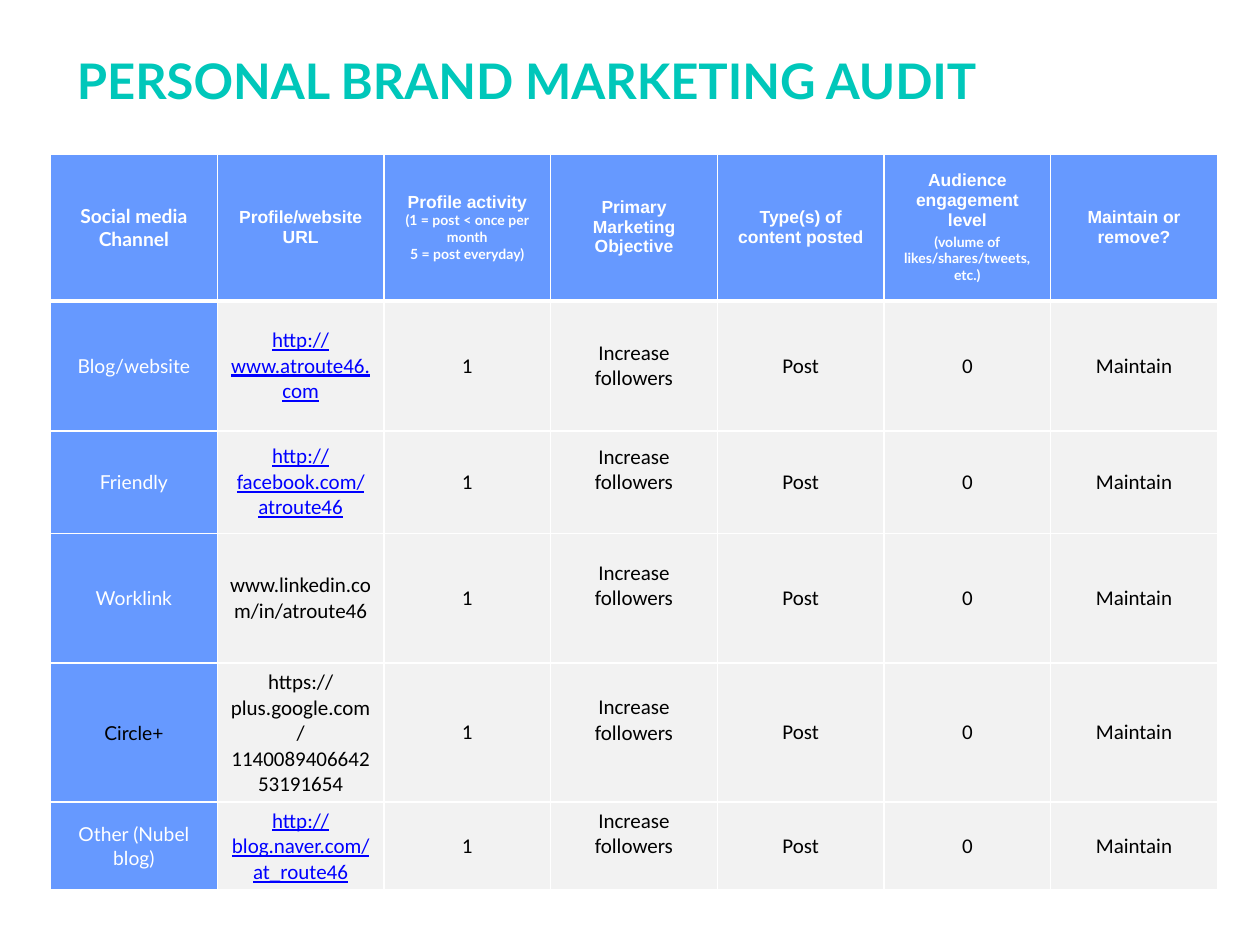
from dataclasses import dataclass

from lxml.etree import SubElement
from pptx import Presentation
from pptx.dml.color import RGBColor
from pptx.enum.text import MSO_ANCHOR as Anchor, MSO_AUTO_SIZE as AutoSize, PP_ALIGN as Align
from pptx.oxml.ns import qn
from pptx.util import Cm, Pt

WHITE, BLACK, LINK = "FFFFFF", "000000", "0000FF"
BLUE, GREY, TEAL = "6699FF", "F2F2F2", "00C7BA"
COLUMN_WIDTH = 3.36
ROW_HEIGHTS = (2.97, 2.62, 2.06, 2.62, 2.62, 1.68)
THIN, THICK = 1, 3


@dataclass
class Line:
    text: str
    size: float = 12
    font: str = "Calibri"
    color: str = BLACK
    bold: bool = False
    underline: bool = False
    before: float = 0


@dataclass
class Channel:
    name: str
    url: str
    linked: bool = True
    name_color: str = WHITE
    objective_lift: float = 0.5


def heading(text: str) -> Line:
    return Line(text, 10, "Arial", WHITE, bold=True)


def detail(text: str, before: float = 0) -> Line:
    return Line(text, 8, "Lato", WHITE, bold=True, before=before)


HEADINGS = (
    [Line("Social media Channel", 11, "Lato", WHITE, bold=True)],
    [heading("Profile/website URL")],
    [heading("Profile activity"), detail("(1 = post < once per month"),
     detail("5 = post everyday)")],
    [heading("Primary Marketing Objective")],
    [heading("Type(s) of content posted")],
    [heading("Audience engagement level"),
     detail("(volume of likes/shares/tweets, etc.)", before=2)],
    [heading("Maintain or remove?")],
)
CHANNELS = (
    Channel("Blog/website", "http://www.atroute46.com", objective_lift=0),
    Channel("Friendly", "http://facebook.com/atroute46"),
    Channel("Worklink", "www.linkedin.com/in/atroute46", linked=False),
    Channel("Circle+", "https://plus.google.com/114008940664253191654",
            linked=False, name_color=BLACK),
    Channel("Other (Nubel blog)", "http://blog.naver.com/at_route46"),
)
ANSWERS = ("1", "Increase followers", "Post", "0", "Maintain")
OBJECTIVE_COLUMN = 3


def rgb(color: str) -> RGBColor:
    return RGBColor.from_string(color)


def write(frame, lines: list[Line], align: Align) -> None:
    for index, line in enumerate(lines):
        para = frame.add_paragraph() if index else frame.paragraphs[0]
        para.add_run().text = line.text
        para.alignment = align
        if line.before:
            para.space_before = Pt(line.before)
        para.font.name, para.font.size = line.font, Pt(line.size)
        para.font.bold, para.font.underline = line.bold, line.underline
        para.font.color.rgb = rgb(line.color)


def set_borders(cell, top: float, bottom: float) -> None:
    properties = cell._tc.get_or_add_tcPr()
    for side, width in (("L", THIN), ("R", THIN), ("T", top), ("B", bottom)):
        border = SubElement(properties, qn(f"a:ln{side}"), w=str(Pt(width)))
        SubElement(SubElement(border, qn("a:solidFill")), qn("a:srgbClr"), val=WHITE)


def fill_cell(cell, lines: list[Line], fill: str, top: float, bottom: float) -> None:
    set_borders(cell, top, bottom)
    cell.fill.solid()
    cell.fill.fore_color.rgb = rgb(fill)
    cell.vertical_anchor = Anchor.MIDDLE
    write(cell.text_frame, lines, Align.CENTER)


def channel_lines(channel: Channel) -> list[list[Line]]:
    name = Line(channel.name, 11, "Lato", channel.name_color)
    url = Line(channel.url, color=LINK if channel.linked else BLACK,
               underline=channel.linked)
    return [[line] for line in (name, url, *map(Line, ANSWERS))]


def main() -> None:
    deck = Presentation()
    deck.slide_width, deck.slide_height = Cm(25.4), Cm(19.05)
    page = deck.slides.add_slide(deck.slide_layouts[6])

    # Title
    box = page.shapes.add_textbox(Cm(1.3), Cm(0.89), Cm(19.96), Cm(1.45))
    frame = box.text_frame
    frame.word_wrap = True
    frame.auto_size = AutoSize.SHAPE_TO_FIT_TEXT
    frame.vertical_anchor = Anchor.MIDDLE
    write(frame, [Line("PERSONAL BRAND MARKETING AUDIT", 28, "Lato", TEAL, bold=True)],
          Align.LEFT)

    # Audit table
    table = page.shapes.add_table(
        len(ROW_HEIGHTS), len(HEADINGS), Cm(1.02), Cm(3.1),
        Cm(COLUMN_WIDTH * len(HEADINGS)), Cm(sum(ROW_HEIGHTS))).table
    for column in table.columns:
        column.width = Cm(COLUMN_WIDTH)
    for row, height in zip(table.rows, ROW_HEIGHTS):
        row.height = Cm(height)

    # Header row
    for column, lines in enumerate(HEADINGS):
        fill_cell(table.cell(0, column), lines, BLUE, THIN, THICK)

    # One row per channel
    for row, channel in enumerate(CHANNELS, start=1):
        for column, lines in enumerate(channel_lines(channel)):
            fill_cell(table.cell(row, column), lines, GREY if column else BLUE,
                      THICK if row == 1 else THIN, THIN)
        objective = table.cell(row, OBJECTIVE_COLUMN)
        objective.margin_bottom = Cm(0.13 + channel.objective_lift)

    # The last column has no inner margins
    for row in range(len(ROW_HEIGHTS)):
        cell = table.cell(row, len(HEADINGS) - 1)
        cell.margin_left = cell.margin_right = Cm(0)
        cell.margin_top = cell.margin_bottom = Cm(0)

    deck.save("out.pptx")


if __name__ == "__main__":
    main()
